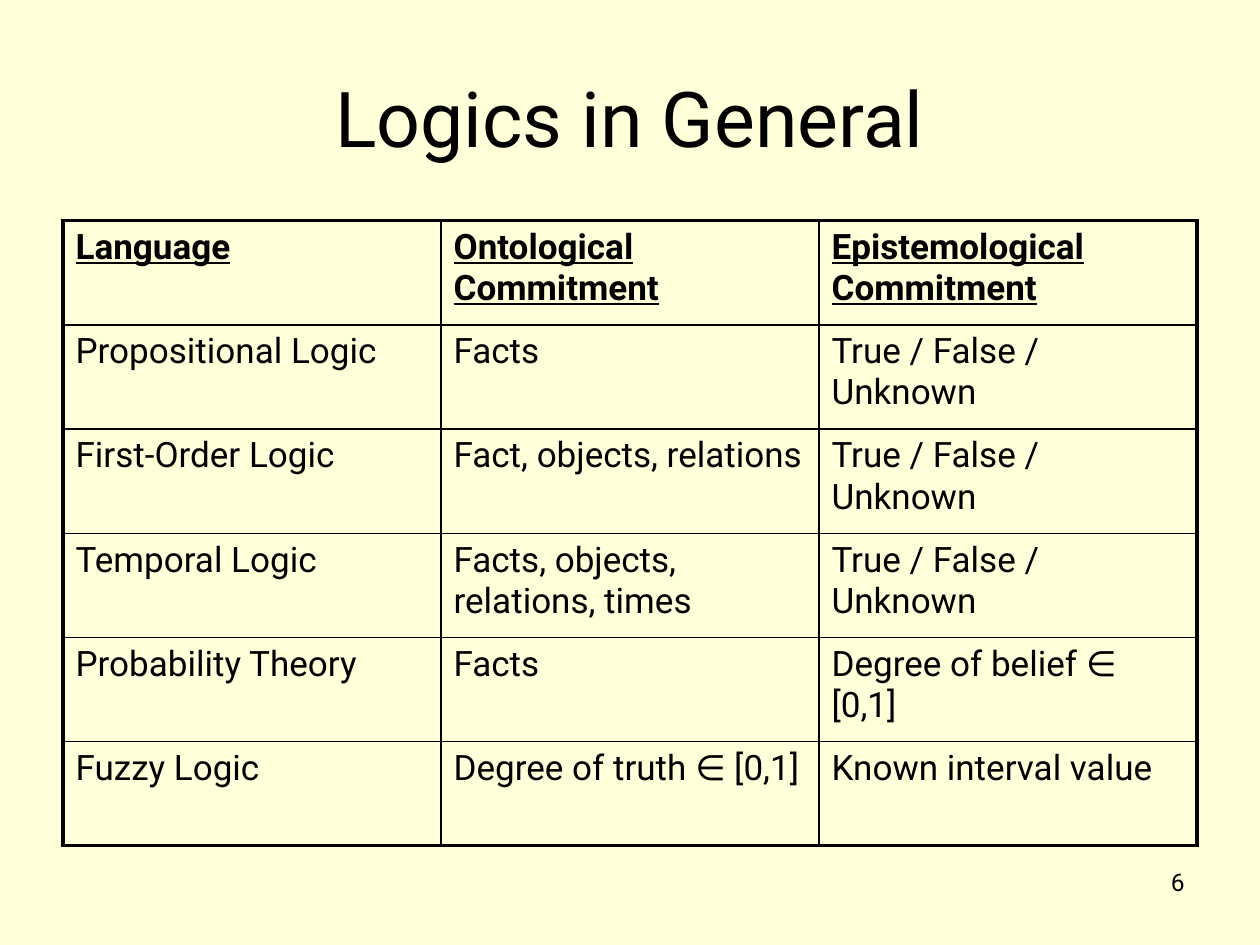
"""Build a slide with a table comparing the commitments of several logics."""

from dataclasses import dataclass

from lxml.etree import SubElement
from pptx import Presentation
from pptx.dml.color import RGBColor
from pptx.enum.text import MSO_ANCHOR, PP_ALIGN
from pptx.oxml.ns import qn
from pptx.slide import Slide
from pptx.table import _Cell
from pptx.text.text import _Paragraph
from pptx.util import Cm, Pt


@dataclass(frozen=True)
class Theme:
    font: str = "Roboto"
    ink: str = "000000"
    background: str = "FFFFD9"
    title_size: float = 44
    table_size: float = 20
    number_size: float = 14
    outer_line: float = 2.25
    inner_line: float = 1


@dataclass(frozen=True)
class Label:
    text: str
    left: float
    top: float
    width: float
    height: float
    size: float
    align: PP_ALIGN
    anchor: MSO_ANCHOR


@dataclass(frozen=True)
class Logic:
    language: str
    ontological: str
    epistemological: str

    def texts(self) -> tuple[str, str, str]:
        return self.language, self.ontological, self.epistemological


THEME = Theme()
LABELS = (
    Label("Logics in General", 1.27, 0.76, 22.86, 3.18, THEME.title_size,
          PP_ALIGN.CENTER, MSO_ANCHOR.MIDDLE),
    Label("6", 18.21, 17.35, 5.92, 1.32, THEME.number_size,
          PP_ALIGN.RIGHT, MSO_ANCHOR.TOP),
)
TRUTH_VALUES = "True / False / Unknown"
LOGICS = (
    Logic("Language", "Ontological Commitment", "Epistemological Commitment"),
    Logic("Propositional Logic", "Facts", TRUTH_VALUES),
    Logic("First-Order Logic", "Fact, objects, relations", TRUTH_VALUES),
    Logic("Temporal Logic", "Facts, objects, relations, times", TRUTH_VALUES),
    Logic("Probability Theory", "Facts", "Degree of belief ∈ [0,1]"),
    Logic("Fuzzy Logic", "Degree of truth ∈ [0,1]", "Known interval value"),
)
COLUMN_COUNT = 3
COLUMN_WIDTH = 7.62
ROW_HEIGHT = 2.1


def add_text(paragraph: _Paragraph, text: str, size: float, heading: bool = False) -> None:
    run = paragraph.add_run()
    run.text = text
    run.font.name = THEME.font
    run.font.size = Pt(size)
    run.font.color.rgb = RGBColor.from_string(THEME.ink)
    run.font.bold = heading
    run.font.underline = heading


def add_label(slide: Slide, label: Label) -> None:
    shape = slide.shapes.add_textbox(
        Cm(label.left), Cm(label.top), Cm(label.width), Cm(label.height))
    frame = shape.text_frame
    frame.word_wrap = True
    frame.vertical_anchor = label.anchor
    paragraph = frame.paragraphs[0]
    paragraph.alignment = label.align
    add_text(paragraph, label.text, label.size)


def set_borders(cell: _Cell, row: int, column: int) -> None:
    outer_edges = {
        "a:lnL": column == 0,
        "a:lnR": column == COLUMN_COUNT - 1,
        "a:lnT": row == 0,
        "a:lnB": row == len(LOGICS) - 1,
    }
    properties = cell._tc.get_or_add_tcPr()
    for tag, is_outer in outer_edges.items():
        width = THEME.outer_line if is_outer else THEME.inner_line
        line = SubElement(properties, qn(tag), w=str(Pt(width)))
        fill = SubElement(line, qn("a:solidFill"))
        SubElement(fill, qn("a:srgbClr"), val=THEME.ink)


def add_logic_table(slide: Slide) -> None:
    table = slide.shapes.add_table(
        len(LOGICS), COLUMN_COUNT, Cm(1.27), Cm(4.45),
        Cm(COLUMN_WIDTH * COLUMN_COUNT), Cm(ROW_HEIGHT * len(LOGICS))).table
    table.first_row = False
    table.horz_banding = False
    for table_column in table.columns:
        table_column.width = Cm(COLUMN_WIDTH)
    for row, logic in enumerate(LOGICS):
        table.rows[row].height = Cm(ROW_HEIGHT)
        for column, text in enumerate(logic.texts()):
            cell = table.cell(row, column)
            set_borders(cell, row, column)
            cell.fill.background()
            add_text(cell.text_frame.paragraphs[0], text, THEME.table_size, row == 0)


def main() -> None:
    presentation = Presentation()
    presentation.slide_width = Cm(25.4)
    presentation.slide_height = Cm(19.05)
    slide = presentation.slides.add_slide(presentation.slide_layouts[6])
    slide.background.fill.solid()
    slide.background.fill.fore_color.rgb = RGBColor.from_string(THEME.background)
    for label in LABELS:
        add_label(slide, label)
    add_logic_table(slide)
    presentation.save("out.pptx")


if __name__ == "__main__":
    main()
